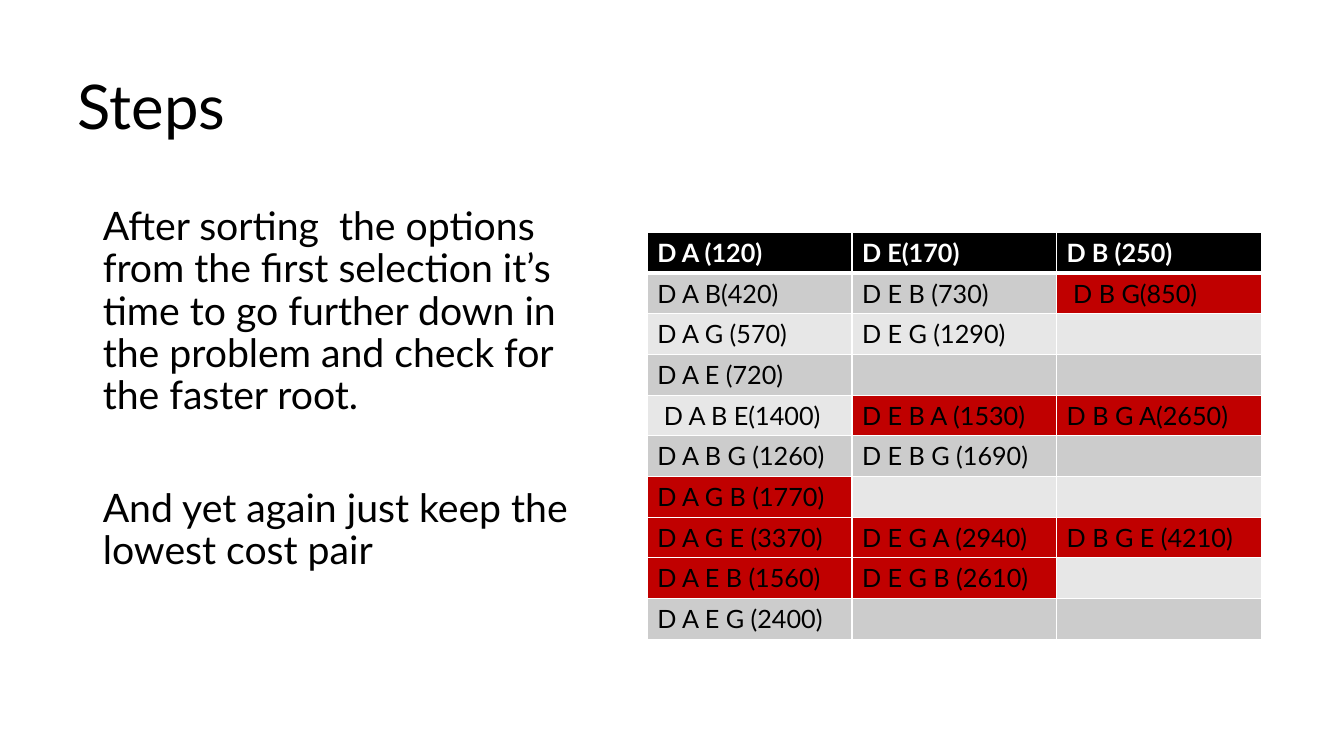
from lxml import etree
from pptx import Presentation
from pptx import util as u
from pptx.dml.color import RGBColor
from pptx.enum import text
from pptx.oxml.ns import qn

COLORS = {"black": "000000", "white": "FFFFFF", "dark_band": "CCCCCC",
          "light_band": "E7E7E7", "pruned": "C00000"}


def write(p, content, size=18, color="black", bold=False, spacing=1.0, before=0):
    p.alignment = text.PP_ALIGN.LEFT
    p.line_spacing = spacing
    p.space_before = u.Pt(before)
    r = p.add_run()
    r.text = content
    r.font.name = "Lato"
    r.font.size = u.Pt(size)
    r.font.bold = bold
    r.font.color.rgb = RGBColor.from_string(COLORS[color])


def set_borders(cell, top, bottom):
    """Draw white cell borders; top and bottom are widths in points."""
    tcPr = cell._tc.get_or_add_tcPr()
    widths = {"a:lnL": 1, "a:lnR": 1, "a:lnT": top, "a:lnB": bottom}
    for i, (tag, width) in enumerate(widths.items()):
        ln = etree.Element(qn(tag), w=str(u.Pt(width)))
        fill = etree.SubElement(ln, qn("a:solidFill"))
        etree.SubElement(fill, qn("a:srgbClr"), val=COLORS["white"])
        tcPr.insert(i, ln)


prs = Presentation()
prs.slide_width, prs.slide_height = u.Inches(13.33), u.Inches(7.5)
s = prs.slides.add_slide(prs.slide_layouts[1])

title, body = s.shapes.title, s.placeholders[1]
frames = [(title, (0.67, 0.36, 4.48, 1.45), text.MSO_ANCHOR.MIDDLE),
          (body, (0.92, 2, 5.28, 4.93), text.MSO_ANCHOR.TOP)]
for sp, box, anchor in frames:
    sp.left, sp.top, sp.width, sp.height = map(u.Inches, box)
    sp.text_frame.vertical_anchor = anchor
    sp.text_frame.word_wrap = True
    sp.text_frame.auto_size = text.MSO_AUTO_SIZE.NONE

write(title.text_frame.paragraphs[0], "Steps", size=44, spacing=0.9)

tf = body.text_frame
steps = [("After sorting  the options from the first selection it’s time to go "
          "further down in the problem and check for the faster root.", 10),
         ("And yet again just keep the lowest cost pair", 50)]
for i, (step, before) in enumerate(steps):
    p = tf.add_paragraph() if i else tf.paragraphs[0]
    write(p, step, size=28, spacing=0.9, before=before)
    pPr = p._p.get_or_add_pPr()
    pPr.set("marL", "0")
    pPr.set("indent", "0")
    etree.SubElement(pPr, qn("a:buNone"))

routes = [
    ("D A (120)", "D E(170)", "D B (250)"),
    ("D A B(420)", "D E B (730)", " D B G(850)"),
    ("D A G (570)", "D E G (1290)", ""),
    ("D A E (720)", "", ""),
    (" D A B E(1400)", "D E B A (1530)", "D B G A(2650)"),
    ("D A B G (1260)", "D E B G (1690)", ""),
    ("D A G B (1770)", "", ""),
    ("D A G E (3370)", "D E G A (2940)", "D B G E (4210)"),
    ("D A E B (1560)", "D E G B (2610)", ""),
    ("D A E G (2400)", "", ""),
]
pruned = {(1, 2), (4, 1), (4, 2), (6, 0), (7, 0), (7, 1), (7, 2), (8, 0), (8, 1)}

table = s.shapes.add_table(len(routes), 3, u.Inches(6.42), u.Inches(2.31),
                           u.Inches(6.09), u.Inches(4)).table
for row, names in enumerate(routes):
    for col, name in enumerate(names):
        cell = table.cell(row, col)
        if row == 0:
            fill = "black"
        elif (row, col) in pruned:
            fill = "pruned"
        else:
            fill = "dark_band" if row % 2 else "light_band"
        cell.fill.solid()
        cell.fill.fore_color.rgb = RGBColor.from_string(COLORS[fill])
        set_borders(cell, top=3 if row == 1 else 1, bottom=3 if row == 0 else 1)
        if name:
            write(cell.text_frame.paragraphs[0], name, bold=row == 0,
                  color="white" if row == 0 else "black")

prs.save("out.pptx")
